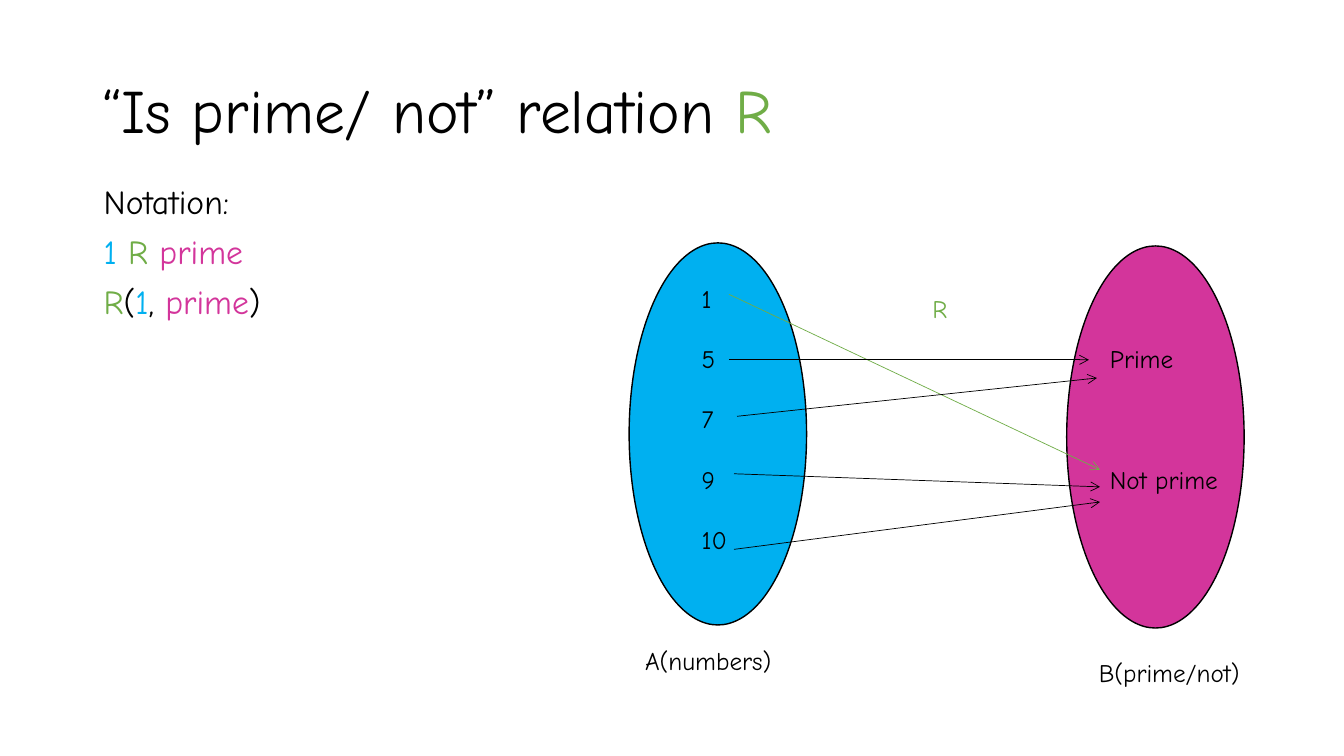
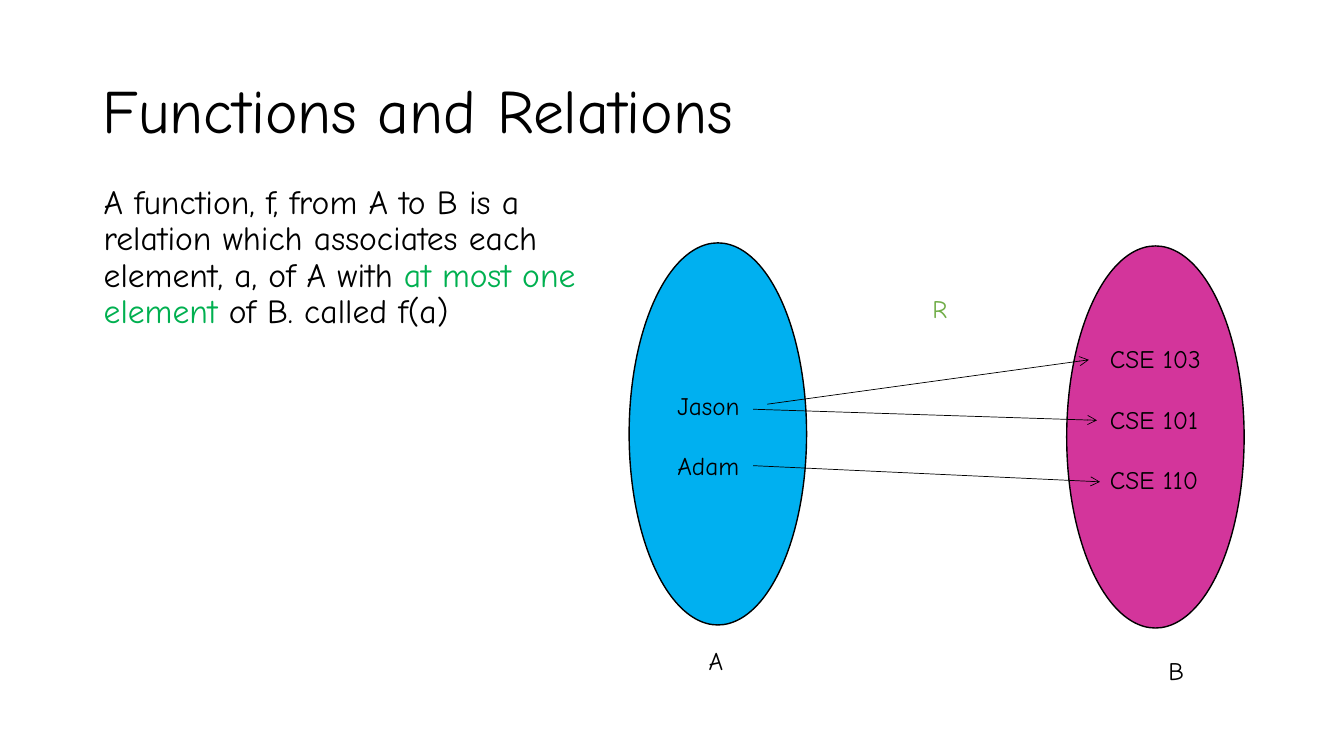
"""Build two slides that map set A to set B with arrows."""
from lxml import etree
from pptx import Presentation
from pptx.dml.color import RGBColor
from pptx.enum.shapes import MSO_CONNECTOR, MSO_SHAPE
from pptx.enum.text import MSO_ANCHOR
from pptx.oxml.ns import qn
from pptx.util import Inches, Pt

OVAL = MSO_SHAPE.OVAL
STRAIGHT = MSO_CONNECTOR.STRAIGHT
TOP, MIDDLE = MSO_ANCHOR.TOP, MSO_ANCHOR.MIDDLE
FONT = "Comic Neue"
COLORS = {
    "black": "000000",
    "blue": "00B0F0",
    "pink": "D3359B",
    "relation": "70AD47",
    "emphasis": "00B050",
}
TITLE_PLACE = (0.92, 0.4, 11.5, 1.45)
RELATION_PLACE = (9.15, 2.86, 0.36, 0.4)
OVAL_SIZE = (1.76, 3.79)
ONE_LINE = 21.5

deck = Presentation()
deck.slide_width, deck.slide_height = Inches(13.33), Inches(7.5)
COLUMN, ROW = deck.slide_width / 13.33, deck.slide_height / 7.5


def grid(*lengths):
    return [round(length * (ROW if i % 2 else COLUMN)) for i, length in enumerate(lengths)]


def add_text(page, place, paragraphs, size=18, leading=1.0, gap=0, anchor=TOP):
    frame = page.shapes.add_textbox(*grid(*place)).text_frame
    frame.word_wrap = True
    frame.vertical_anchor = anchor
    for i, spans in enumerate(paragraphs):
        para = frame.add_paragraph() if i else frame.paragraphs[0]
        para.line_spacing = leading
        para.space_before = Pt(gap)
        for text, color in spans:
            span = para.add_run()
            span.text = text
            span.font.name = FONT
            span.font.size = Pt(size)
            span.font.color.rgb = RGBColor.from_string(COLORS[color])


slides = [
    {
        "title": [("“Is prime/ not” relation ", "black"), ("R", "relation")],
        "body_size": (2.08, 1.57),
        "body": [
            [("Notation:", "black")],
            [("1 ", "blue"), ("R ", "relation"), ("prime", "pink")],
            [("R", "relation"), ("(", "black"), ("1", "blue"), (", ", "black"),
             ("prime", "pink"), (")", "black")],
        ],
        "sets": [
            ((6.86, 2.76, 0.65, 2.83), ["1", "5", "7", "9", "10"], 1),
            ((10.91, 3.36, 1.61, 1.62), ["Prime", "Not prime"], 3),
        ],
        "arrows": [
            (7.23, 2.92, 10.91, 4.66, "relation"),
            (7.23, 3.57, 10.8, 3.57, "black"),
            (7.31, 4.13, 10.88, 3.75, "black"),
            (7.28, 4.7, 10.91, 4.83, "black"),
            (7.28, 5.45, 10.91, 4.98, "black"),
        ],
        "captions": [
            ((6.3, 6.39, 2.43, 0.47), "A(numbers)", 0.9),
            ((10.8, 6.47, 1.76, 0.4), "B(prime/not)", 1.0),
        ],
    },
    {
        "title": [("Functions and Relations", "black")],
        "body_size": (5.31, 2.75),
        "body": [[
            ("A function, f, from A to B is a relation which associates each "
             "element, a, of A with ", "black"),
            ("at most one element", "emphasis"),
            (" of B. called f(a)", "black"),
        ]],
        "sets": [
            ((6.62, 3.82, 1.16, 1.01), ["Jason", "Adam"], 1),
            ((10.91, 3.36, 1.61, 2.52), ["CSE 103", "CSE 101", "CSE 110"], 1),
        ],
        "arrows": [
            (7.61, 4.01, 10.8, 3.57, "black"),
            (7.47, 4.06, 10.88, 4.17, "black"),
            (7.47, 4.62, 10.91, 4.78, "black"),
        ],
        "captions": [
            ((6.93, 6.39, 1.59, 0.47), "A", 0.9),
            ((11.49, 6.45, 1.22, 0.4), "B", 1.0),
        ],
    },
]
ovals = [((6.24, 2.41), "blue"), ((10.58, 2.44), "pink")]

for content in slides:
    page = deck.slides.add_slide(deck.slide_layouts[6])
    add_text(page, TITLE_PLACE, [content["title"]], 44, 0.9, anchor=MIDDLE)
    add_text(page, (0.93, 1.79, *content["body_size"]), content["body"], 24, 0.9, 10)

    for (corner, color), (place, members, empty_lines) in zip(ovals, content["sets"]):
        oval = page.shapes.add_shape(OVAL, *grid(*corner, *OVAL_SIZE))
        oval.shadow.inherit = False
        oval.fill.solid()
        oval.fill.fore_color.rgb = RGBColor.from_string(COLORS[color])
        oval.line.color.rgb = RGBColor.from_string(COLORS["black"])
        oval.line.width = Pt(1)
        add_text(page, place, [[(member, "black")] for member in members],
                 gap=empty_lines * ONE_LINE)

    for *ends, color in content["arrows"]:
        arrow = page.shapes.add_connector(STRAIGHT, *grid(*ends))
        arrow.line.color.rgb = RGBColor.from_string(COLORS[color])
        arrow.line.width = Pt(0.5)
        properties = arrow.element.spPr
        etree.SubElement(properties.find(qn("a:ln")), qn("a:tailEnd"), type="arrow")
        etree.SubElement(properties, qn("a:effectLst"))

    for place, caption, leading in content["captions"]:
        add_text(page, place, [[(caption, "black")]], leading=leading)
    add_text(page, RELATION_PLACE, [[("R", "relation")]])

deck.save("out.pptx")
